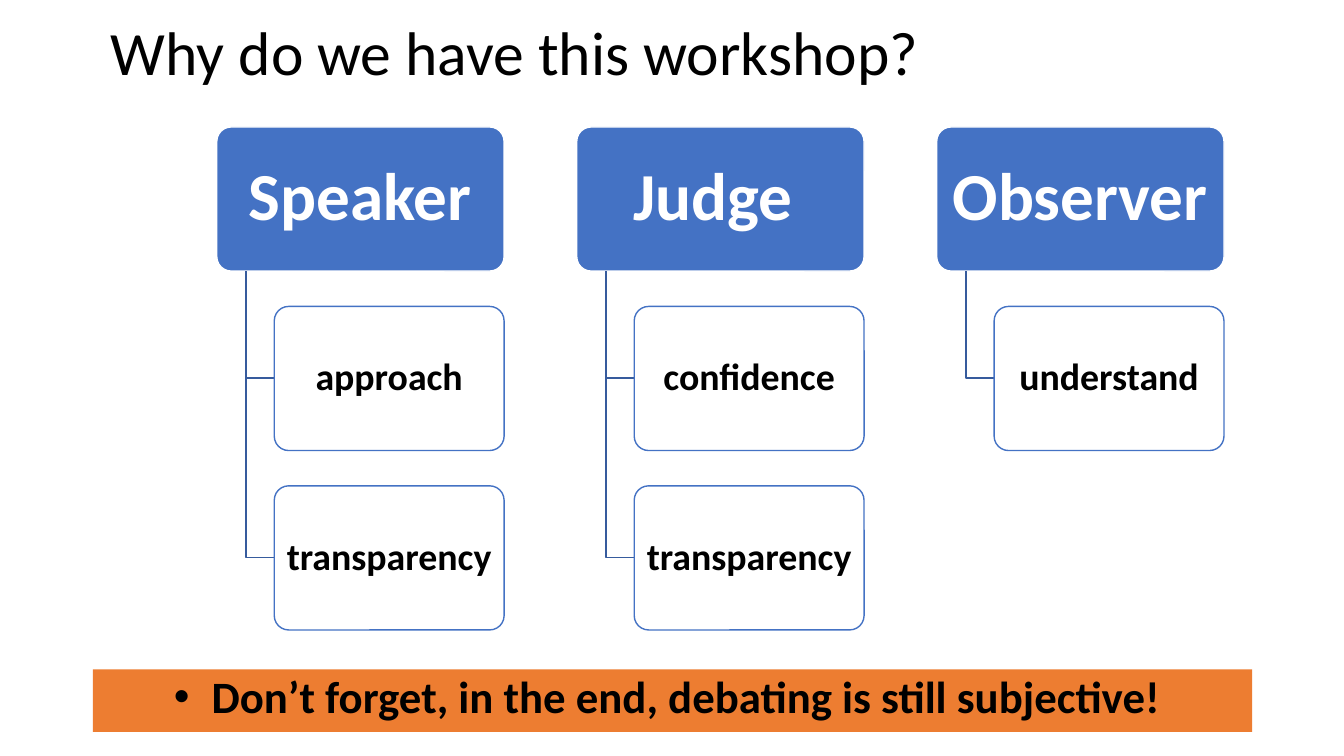
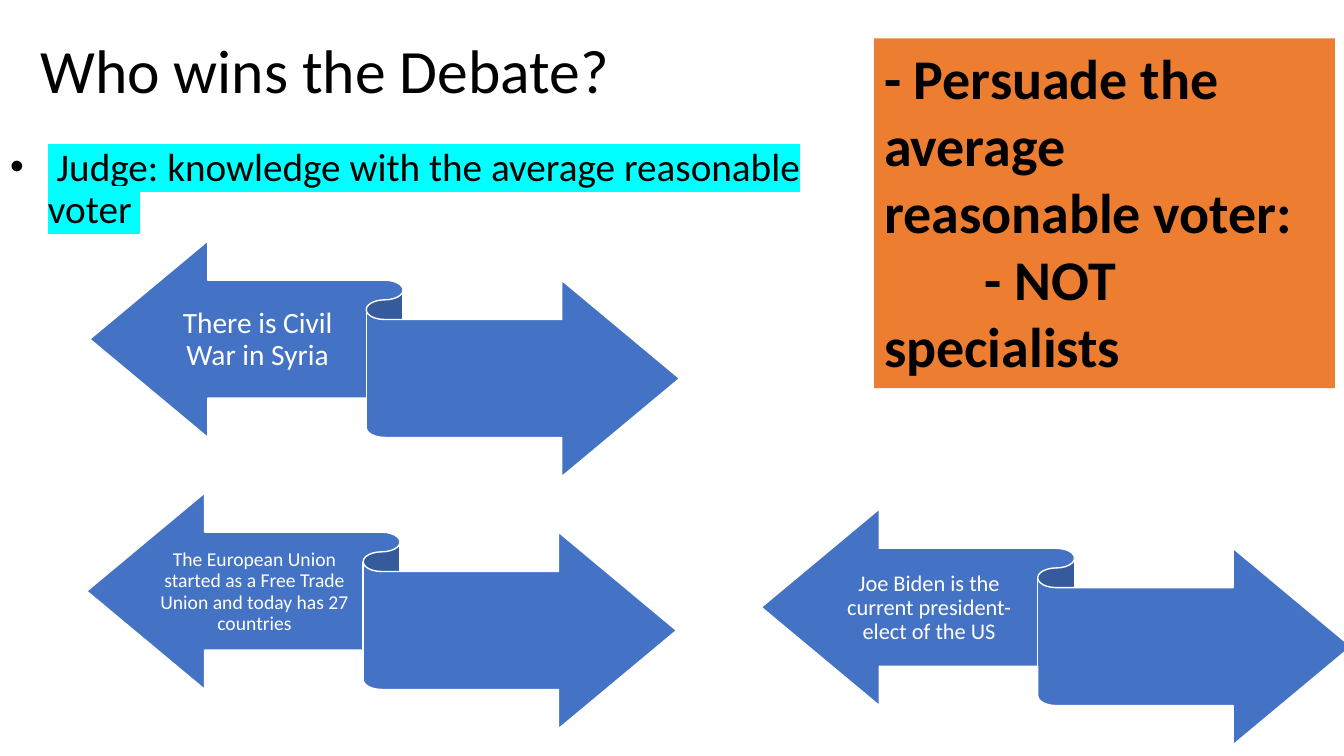
from lxml import etree
from pptx import Presentation
from pptx.dml.color import RGBColor
from pptx.enum.shapes import MSO_SHAPE
from pptx.enum.text import MSO_ANCHOR, MSO_AUTO_SIZE, PP_ALIGN
from pptx.oxml.ns import qn
from pptx.util import Pt

EMU_PER_PX = 9144  # 100 px to the inch
COLORS = {
    "text": "000000",
    "white": "FFFFFF",
    "blue": "4472C4",
    "dark_blue": "365B9D",
    "orange": "ED7D31",
    "cyan": "00FFFF",
}
FONT = "Calibri"
LEFT, CENTER = PP_ALIGN.LEFT, PP_ALIGN.CENTER
TOP, MIDDLE = MSO_ANCHOR.TOP, MSO_ANCHOR.MIDDLE
ROUNDED, RIBBON = MSO_SHAPE.ROUNDED_RECTANGLE, MSO_SHAPE.LEFT_RIGHT_RIBBON
NO_AUTOFIT = MSO_AUTO_SIZE.NONE


def px(value):
    return value * EMU_PER_PX


def rgb(name):
    return RGBColor.from_string(COLORS[name])


class Deck:
    """Holds the style and the current slide."""

    def __init__(self):
        self.presentation = Presentation()
        self.presentation.slide_width = px(1333)
        self.presentation.slide_height = px(750)
        self.slide = None

    def add_slide(self, title, left, top):
        layout = self.presentation.slide_layouts[1]
        self.slide = self.presentation.slides.add_slide(layout)
        shape = self.slide.shapes.title
        self.place(shape, left, top, 1150, 145)
        self.set_text(shape, [title], 44, anchor=MIDDLE)

    def place(self, shape, left, top, width, height):
        shape.left, shape.top = px(left), px(top)
        shape.width, shape.height = px(width), px(height)

    def set_text(self, shape, lines, size, color="text", bold=False, align=LEFT,
                 anchor=TOP, margins=(10, 5), spacing=0.9):
        frame = shape.text_frame
        frame.word_wrap = True
        frame.auto_size = NO_AUTOFIT
        frame.vertical_anchor = anchor
        frame.margin_left = frame.margin_right = px(margins[0])
        frame.margin_top = frame.margin_bottom = px(margins[1])
        frame.text = "\n".join(lines)
        for paragraph in frame.paragraphs:
            paragraph.alignment = align
            paragraph.line_spacing = spacing
            paragraph.space_before = Pt(0)
            font = paragraph.font
            font.name, font.size, font.bold = FONT, Pt(size), bold
            font.color.rgb = rgb(color)

    def body(self, text, box, size, fill=None, highlight=None, **style):
        shape = self.slide.placeholders[1]
        self.place(shape, *box)
        if fill:
            shape.fill.solid()
            shape.fill.fore_color.rgb = rgb(fill)
        shape.text_frame.text = text
        # No bullet, no hanging indent
        properties = shape.text_frame.paragraphs[0]._p.get_or_add_pPr()
        properties.set("marL", "0")
        properties.set("indent", "0")
        etree.SubElement(properties, qn("a:buNone"))
        self.set_text(shape, [text], size, **style)
        if highlight:
            run = shape.text_frame.paragraphs[0].runs[0]
            mark = etree.SubElement(run._r.get_or_add_rPr(), qn("a:highlight"))
            etree.SubElement(mark, qn("a:srgbClr"), val=COLORS[highlight])

    def shape(self, kind, box, fill, line):
        shape = self.slide.shapes.add_shape(kind, *map(px, box))
        shape.shadow.inherit = False
        shape.fill.solid()
        shape.fill.fore_color.rgb = rgb(fill)
        shape.line.color.rgb = rgb(line)
        shape.line.width = Pt(1)
        return shape

    def card(self, text, box, fill, line, size, color, margins):
        shape = self.shape(ROUNDED, box, fill, line)
        shape.adjustments[0] = 0.1
        self.set_text(shape, [text], size, color, True, CENTER, MIDDLE, margins)

    def elbow(self, left, top, right, bottom):
        builder = self.slide.shapes.build_freeform(left, top, scale=EMU_PER_PX)
        builder.add_line_segments([(left, bottom), (right, bottom)], close=False)
        shape = builder.convert_to_shape()
        shape.shadow.inherit = False
        shape.fill.background()
        shape.line.color.rgb = rgb("dark_blue")
        shape.line.width = Pt(1)

    def text_box(self, lines, box, size, fill=None, **style):
        shape = self.slide.shapes.add_textbox(*map(px, box))
        if fill:
            shape.fill.solid()
            shape.fill.fore_color.rgb = rgb(fill)
        self.set_text(shape, lines, size, **style)
        return shape

    def ribbon(self, text, left, top, size):
        self.shape(RIBBON, (left, top, 585, 234), "blue", "white")
        self.text_box([text], (left + 70, top + 41, 193, 115), size,
                      color="white", align=CENTER, anchor=MIDDLE, margins=(0, 6))


def workshop_slide(deck):
    deck.add_slide("Why do we have this workshop?", 100, -17)
    deck.body("Don’t forget, in the end, debating is still subjective! ",
              (92, 664, 1150, 62), 32, fill="orange", bold=True, align=CENTER)

    # One column per role, with its aims hanging below
    roles = [
        ("Speaker", ["approach", "transparency"]),
        ("Judge ", ["confidence", "transparency"]),
        ("Observer", ["understand"]),
    ]
    top, height, pitch = 126, 143, 178
    for column, (role, aims) in enumerate(roles):
        left = 215 + 357 * column
        deck.card(role, (left, top, 285, height), "blue", "white", 48, "white", (10, 7))
        for row, aim in enumerate(aims, 1):
            aim_top = top + pitch * row
            deck.elbow(left + 29, top + height, left + 57, aim_top + height // 2)
            deck.card(aim, (left + 57, aim_top, 228, height), "white", "blue",
                      27, "text", (6, 4))


def winner_slide(deck):
    deck.add_slide("Who wins the Debate?", 30, 0)
    deck.body(" Judge: knowledge with the average reasonable voter ",
              (0, 141, 889, 348), 28, highlight="cyan")

    # Key message
    message = deck.text_box(
        ["- Persuade the average reasonable voter:", "- NOT specialists"],
        (867, 38, 457, 347), 40, fill="orange", bold=True, spacing=1.0)
    properties = message.text_frame.paragraphs[1]._p.get_or_add_pPr()
    properties.set("indent", str(px(100)))

    # Facts an average voter knows
    for fact in [
        ("There is Civil War in Syria", 89, 239, 21),
        ("The European Union started as a Free Trade Union and today has 27 countries",
         86, 489, 14),
        ("Joe Biden is the current president-elect of the US", 755, 505, 16),
    ]:
        deck.ribbon(*fact)


def main():
    deck = Deck()
    workshop_slide(deck)
    winner_slide(deck)
    deck.presentation.save("out.pptx")


if __name__ == "__main__":
    main()
